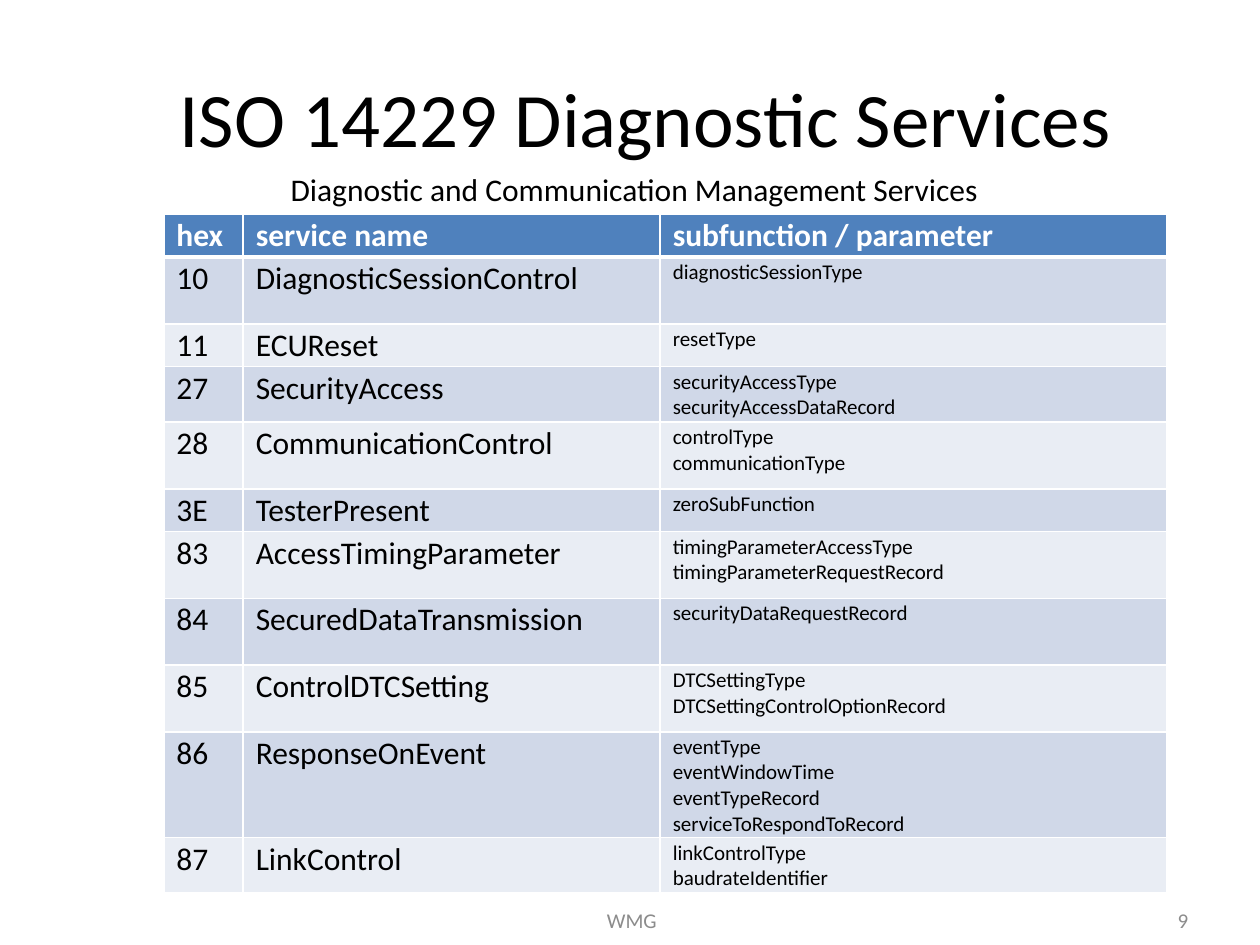
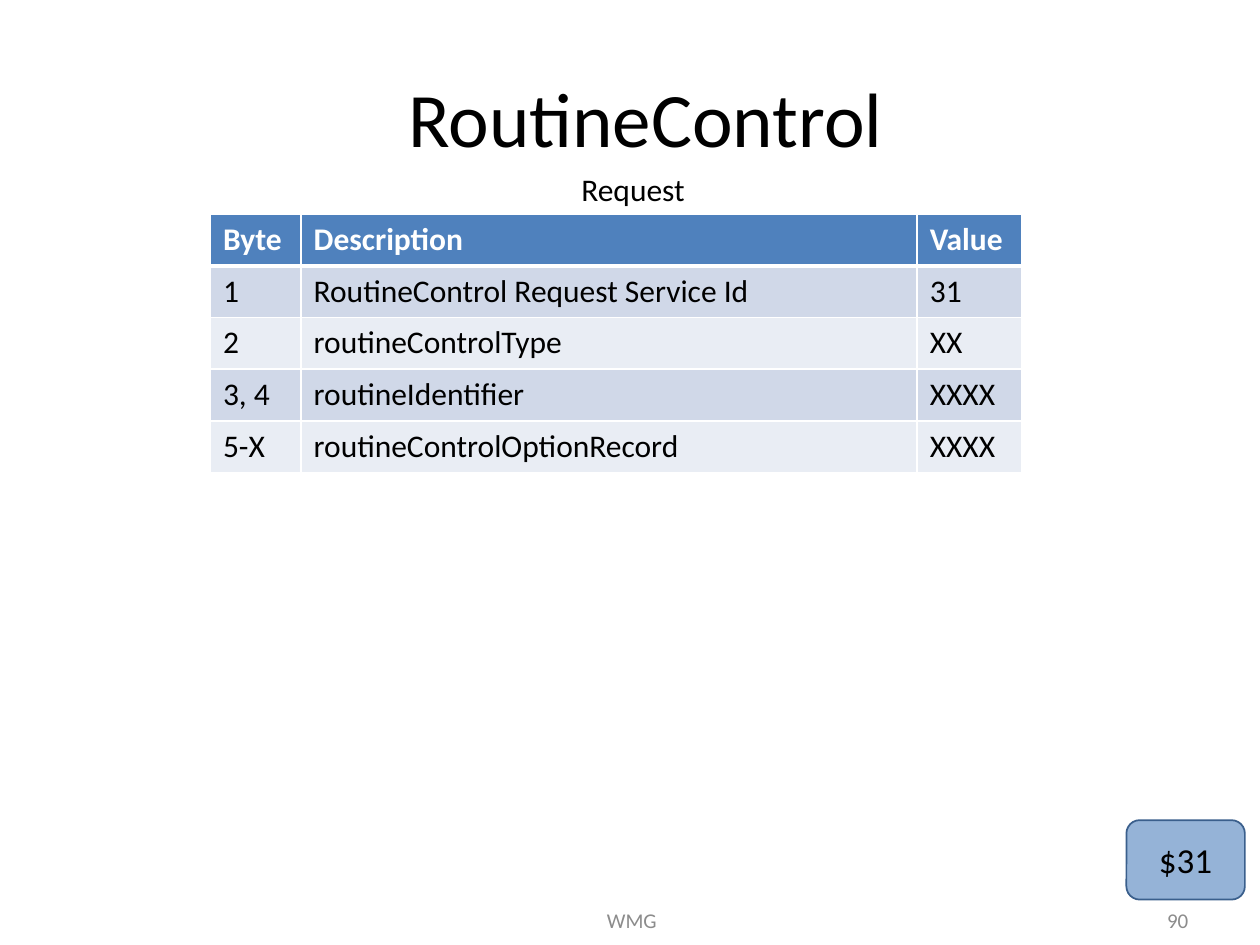
from lxml import etree
from pptx import Presentation
from pptx.dml.color import RGBColor
from pptx.enum import shapes, text
from pptx.oxml.ns import qn
from pptx.util import Inches, Pt

# Content
FOOTER = "WMG"
SERVICES = [
    ("hex", "service name", "subfunction / parameter"),
    ("10", "DiagnosticSessionControl", "diagnosticSessionType"),
    ("11", "ECUReset", "resetType"),
    ("27", "SecurityAccess", "securityAccessType\vsecurityAccessDataRecord"),
    ("28", "CommunicationControl", "controlType\vcommunicationType"),
    ("3E", "TesterPresent", "zeroSubFunction"),
    ("83", "AccessTimingParameter",
     "timingParameterAccessType\vtimingParameterRequestRecord"),
    ("84", "SecuredDataTransmission", "securityDataRequestRecord"),
    ("85", "ControlDTCSetting", "DTCSettingType\vDTCSettingControlOptionRecord"),
    ("86", "ResponseOnEvent",
     "eventType\veventWindowTime\veventTypeRecord\vserviceToRespondToRecord"),
    ("87", "LinkControl", "linkControlType\vbaudrateIdentifier"),
]
TALL_SERVICES = {"10", "28", "83", "84", "85", "86"}
REQUEST = [
    ("Byte", "Description", "Value"),
    ("1", "RoutineControl Request Service Id", "31"),
    ("2", "routineControlType", "XX"),
    ("3, 4", "routineIdentifier", "XXXX"),
    ("5-X", "routineControlOptionRecord", "XXXX"),
]
SLIDES = [
    dict(title="ISO 14229 Diagnostic Services", number="9",
         caption="Diagnostic and Communication Management Services",
         caption_left=2.17, caption_width=5.73,
         rows=SERVICES, left=1.3, widths=(0.63, 3.31, 4.02),
         heights=[0.53 if row[0] in TALL_SERVICES else 0.31 for row in SERVICES],
         margin=0.02, last_size=12),
    dict(title="RoutineControl", number="90",
         caption="Request", caption_left=4.51, caption_width=1.03,
         rows=REQUEST, left=1.67, widths=(0.72, 4.89, 0.83),
         heights=[0.41] * len(REQUEST), margin=0.05, last_size=18,
         badge="$31"),
]

# Shared style
FONT = "Calibri"
BLACK = RGBColor(0x00, 0x00, 0x00)
WHITE = RGBColor(0xFF, 0xFF, 0xFF)
GREY = RGBColor(0x8C, 0x8C, 0x8C)
HEADER = RGBColor(0x4F, 0x81, 0xBD)
BANDS = RGBColor(0xE9, 0xED, 0xF4), RGBColor(0xD0, 0xD8, 0xE8)
BADGE_FILL = RGBColor(0x95, 0xB3, 0xD7)
BADGE_LINE = RGBColor(0x3A, 0x5F, 0x8C)
LEFT, CENTER, RIGHT = (text.PP_ALIGN.LEFT, text.PP_ALIGN.CENTER,
                       text.PP_ALIGN.RIGHT)
TABLE_TOP = 1.7


def write(tf, words, size, color=BLACK, align=CENTER, bold=False):
    p = tf.paragraphs[0]
    p.text = words
    p.alignment = align
    p.font.name, p.font.size, p.font.bold = FONT, Pt(size), bold
    p.font.color.rgb = color


def add_text(s, box, words, size, color=BLACK, align=CENTER, wrap=True):
    tf = s.shapes.add_textbox(*map(Inches, box)).text_frame
    tf.word_wrap = wrap
    tf.vertical_anchor = (text.MSO_ANCHOR.MIDDLE if wrap
                          else text.MSO_ANCHOR.TOP)
    write(tf, words, size, color, align)


def add_border(cell, side, width):
    ln = etree.SubElement(cell._tc.get_or_add_tcPr(), qn(f"a:ln{side}"),
                          w=str(Pt(width)))
    fill = etree.SubElement(ln, qn("a:solidFill"))
    etree.SubElement(fill, qn("a:srgbClr"), val=str(WHITE))


def add_table(s, data):
    rows, widths, heights = data["rows"], data["widths"], data["heights"]
    table = s.shapes.add_table(
        len(rows), len(widths), Inches(data["left"]), Inches(TABLE_TOP),
        Inches(sum(widths)), Inches(sum(heights))).table
    table.first_row = table.horz_banding = False
    for column, width in zip(table.columns, widths):
        column.width = Inches(width)
    for i, row in enumerate(rows):
        table.rows[i].height = Inches(heights[i])
        head = i == 0
        for j, words in enumerate(row):
            cell = table.cell(i, j)
            cell.margin_top = cell.margin_bottom = Inches(data["margin"])
            # The rule under the header is thicker than the grid
            for side in "LRTB":
                thick = (i, side) in ((0, "B"), (1, "T"))
                add_border(cell, side, 3 if thick else 1)
            cell.fill.solid()
            cell.fill.fore_color.rgb = HEADER if head else BANDS[i % 2]
            last = j == len(row) - 1
            size = data["last_size"] if last and not head else 18
            write(cell.text_frame, words, size, WHITE if head else BLACK,
                  LEFT, head)


def add_badge(s, words):
    sp = s.shapes.add_shape(shapes.MSO_SHAPE.ROUNDED_RECTANGLE,
                            *map(Inches, (8.94, 6.51, 0.94, 0.63)))
    sp.shadow.inherit = False
    sp.fill.solid()
    sp.fill.fore_color.rgb = BADGE_FILL
    sp.line.color.rgb = BADGE_LINE
    sp.line.width = Pt(1)
    sp.text_frame.vertical_anchor = text.MSO_ANCHOR.MIDDLE
    write(sp.text_frame, words, 20)


def main():
    prs = Presentation()
    prs.slide_width, prs.slide_height = Inches(10), Inches(7.5)
    for data in SLIDES:
        s = prs.slides.add_slide(prs.slide_layouts[6])
        # Title and footer
        add_text(s, (0.75, 0.3, 8.75, 1.25), data["title"], 44)
        add_text(s, (3.43, 7.1, 3.17, 0.4), FOOTER, 12, GREY)
        add_text(s, (7.2, 7.1, 2.33, 0.4), data["number"], 12, GREY, RIGHT)
        # Table with its caption
        add_table(s, data)
        if "badge" in data:
            add_badge(s, data["badge"])
        add_text(s, (data["caption_left"], 1.3, data["caption_width"], 0.4),
                 data["caption"], 18, wrap=False)
    prs.save("out.pptx")


if __name__ == "__main__":
    main()
